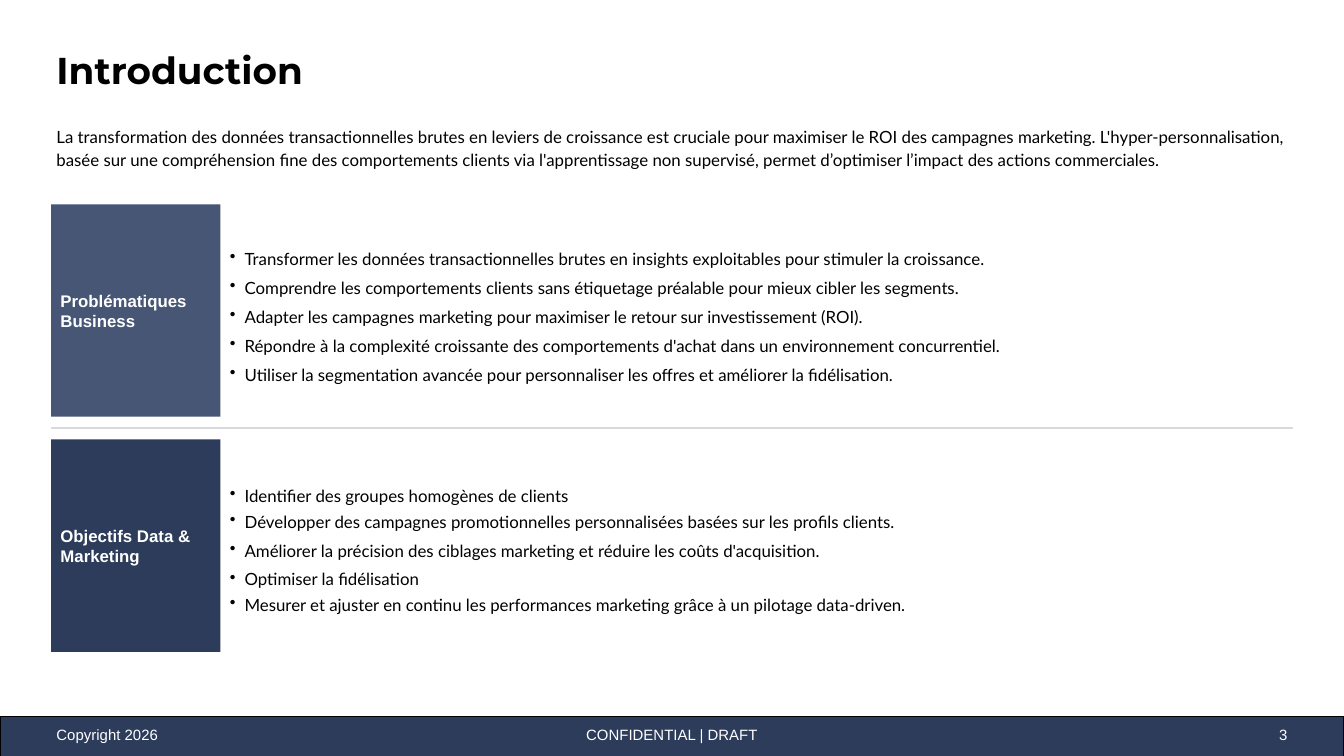
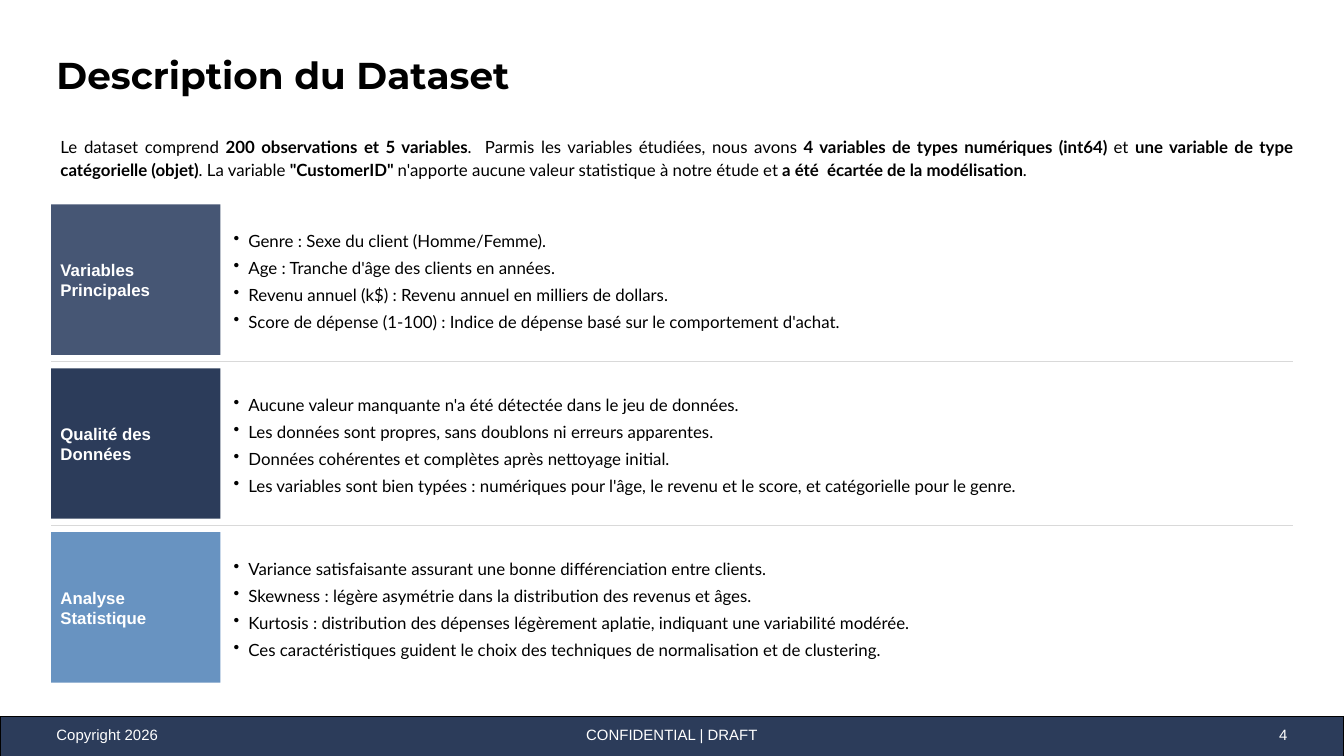
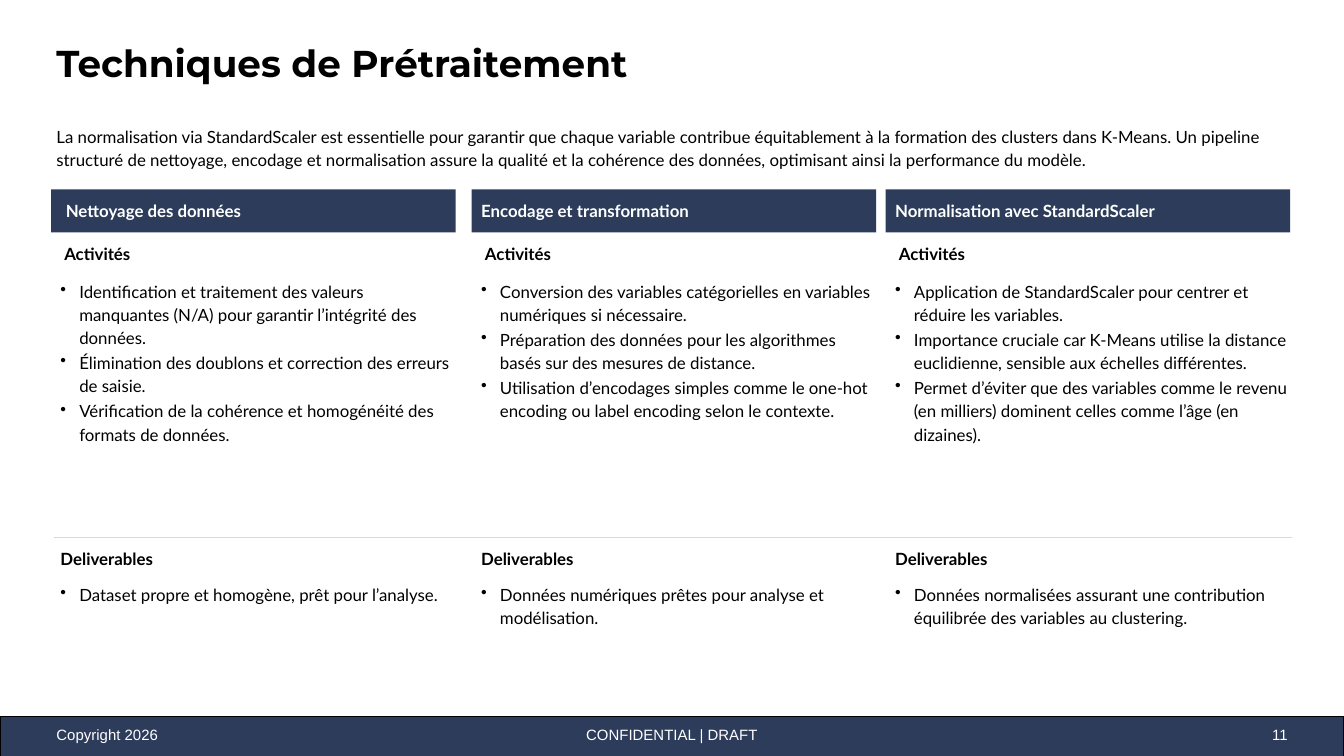
from lxml.etree import SubElement
from pptx import Presentation
from pptx.dml.color import RGBColor
from pptx.enum.shapes import MSO_CONNECTOR, MSO_SHAPE
from pptx.enum.text import MSO_ANCHOR, PP_ALIGN
from pptx.oxml.ns import qn
from pptx.util import Inches, Pt

NAVY, SLATE, SKY = "2C3C5A", "465674", "6893C1"
BLACK, WHITE, RULE = "000000", "FFFFFF", "D9D9D9"
LEFT, WIDTH = 0.38, 9.25
LABEL_WIDTH, FIRST_ROW = 1.26, 1.52
COLUMN_WIDTH = 3.01


def add_box(slide, at, texts, insets, fill=None, font="Lato", size=9, color=BLACK,
            bold=False, align=PP_ALIGN.LEFT, anchor=MSO_ANCHOR.MIDDLE,
            line_spacing=1.0, gap=0, indent=None):
    """Add a text box, or a rectangle if filled; ** in a text switches bold.

    gap is the space in points between paragraphs and after the last one;
    indent is (left margin, first line) and turns bullets on.
    """
    position = [Inches(value) for value in at]
    if fill:
        shape = slide.shapes.add_shape(MSO_SHAPE.RECTANGLE, *position)
        shape.shadow.inherit = False
        shape.fill.solid()
        shape.fill.fore_color.rgb = RGBColor.from_string(fill)
        shape.line.fill.background()
    else:
        shape = slide.shapes.add_textbox(*position)
    frame = shape.text_frame
    frame.word_wrap = True
    frame.vertical_anchor = anchor
    (frame.margin_left, frame.margin_top,
     frame.margin_right, frame.margin_bottom) = [Inches(value) for value in insets]

    for index, text in enumerate(texts):
        paragraph = frame.add_paragraph() if index else frame.paragraphs[0]
        paragraph.alignment = align
        paragraph.line_spacing = line_spacing
        if index:
            paragraph.space_before = Pt(gap)
        if index == len(texts) - 1:
            paragraph.space_after = Pt(gap)
        if indent:
            properties = paragraph._p.get_or_add_pPr()
            properties.set("marL", str(Inches(indent[0])))
            properties.set("indent", str(Inches(indent[1])))
            bullet_color = SubElement(properties, qn("a:buClr"))
            SubElement(bullet_color, qn("a:srgbClr"), val=color)
            SubElement(properties, qn("a:buChar"), char="•")
        for part_index, part in enumerate(text.split("**")):
            run = paragraph.add_run()
            run.text = part
            run.font.name = font
            run.font.size = Pt(size)
            run.font.bold = bold or part_index % 2 == 1
            run.font.color.rgb = RGBColor.from_string(color)
    return shape


def add_rule(slide, left, right, top):
    """Add a thin grey horizontal line."""
    rule = slide.shapes.add_connector(
        MSO_CONNECTOR.STRAIGHT, Inches(left), Inches(top), Inches(right), Inches(top))
    rule.line.color.rgb = RGBColor.from_string(RULE)
    rule.line.width = Pt(0.75)
    SubElement(rule._element.spPr, qn("a:effectLst"))


presentation = Presentation()
presentation.slide_width = Inches(10)
presentation.slide_height = Inches(10) * 9 // 16

# Title, title top, page number, introduction, introduction place and style
pages = [
    ("Introduction", 0.29, "3",
     "La transformation des données transactionnelles brutes en leviers de croissance est "
     "cruciale pour maximiser le ROI des campagnes marketing. L'hyper-personnalisation, basée "
     "sur une compréhension fine des comportements clients via l'apprentissage non supervisé, "
     "permet d’optimiser l’impact des actions commerciales.",
     (LEFT, 0.85, WIDTH, 0.51), PP_ALIGN.LEFT, MSO_ANCHOR.TOP),
    ("Description du Dataset", 0.33, "4",
     "Le dataset comprend **200 observations et 5 variables**.  Parmis les variables étudiées, "
     "nous avons **4 variables de types numériques (int64) **et **une variable de type "
     "catégorielle (objet)**. La variable **\"CustomerID\" **n'apporte aucune valeur "
     "statistique à notre étude et **a été  écartée de la modélisation**.",
     (0.41, 0.9, WIDTH, 0.5), PP_ALIGN.JUSTIFY, MSO_ANCHOR.MIDDLE),
    ("Techniques de Prétraitement", 0.24, "11",
     "La normalisation via StandardScaler est essentielle pour garantir que chaque variable "
     "contribue équitablement à la formation des clusters dans K-Means. Un pipeline structuré "
     "de nettoyage, encodage et normalisation assure la qualité et la cohérence des données, "
     "optimisant ainsi la performance du modèle.",
     (LEFT, 0.85, WIDTH, 0.51), PP_ALIGN.LEFT, MSO_ANCHOR.TOP),
]

slides = []
for title, title_top, number, introduction, place, align, anchor in pages:
    slide = presentation.slides.add_slide(presentation.slide_layouts[6])
    slides.append(slide)
    band = add_box(slide, (0, 5.33, 10, 0.3), [], (0, 0, 0, 0), fill=NAVY)
    band.line.color.rgb = RGBColor.from_string(BLACK)
    band.line.width = Pt(0.75)
    footers = [
        (3.31, 3.38, "CONFIDENTIAL | DRAFT", PP_ALIGN.CENTER),
        (LEFT, 3.38, "Copyright 2026", PP_ALIGN.LEFT),
        (7.37, 2.25, number, PP_ALIGN.RIGHT),
    ]
    for left, width, text, footer_align in footers:
        add_box(slide, (left, 5.36, width, 0.21), [text], (0.04, 0.04, 0.04, 0.04),
                font="Arial", size=8, color=WHITE, align=footer_align)
    add_box(slide, (LEFT, title_top, WIDTH, 0.41), [title], (0.04, 0.04, 0.04, 0),
            font="Montserrat", size=20, bold=True)
    add_box(slide, place, [introduction], (0.04, 0.07, 0.04, 0.04),
            align=align, anchor=anchor, line_spacing=1.15)

introduction_slide, dataset_slide, techniques_slide = slides

# Labelled rows of the first two slides
introduction_rows = [
    ("Problématiques Business", SLATE, [
        "Transformer les données transactionnelles brutes en insights exploitables pour stimuler la croissance.",
        "Comprendre les comportements clients sans étiquetage préalable pour mieux cibler les segments.",
        "Adapter les campagnes marketing pour maximiser le retour sur investissement (ROI).",
        "Répondre à la complexité croissante des comportements d'achat dans un environnement concurrentiel.",
        "Utiliser la segmentation avancée pour personnaliser les offres et améliorer la fidélisation.",
    ]),
    ("Objectifs Data & Marketing", NAVY, [
        "Identifier des groupes homogènes de clients",
        "Développer des campagnes promotionnelles personnalisées basées sur les profils clients.",
        "Améliorer la précision des ciblages marketing et réduire les coûts d'acquisition.",
        "Optimiser la fidélisation",
        "Mesurer et ajuster en continu les performances marketing grâce à un pilotage data-driven.",
    ]),
]
dataset_rows = [
    ("Variables Principales", SLATE, [
        "Genre : Sexe du client (Homme/Femme).",
        "Age : Tranche d'âge des clients en années.",
        "Revenu annuel (k$) : Revenu annuel en milliers de dollars.",
        "Score de dépense (1-100) : Indice de dépense basé sur le comportement d'achat.",
    ]),
    ("Qualité des Données", NAVY, [
        "Aucune valeur manquante n'a été détectée dans le jeu de données.",
        "Les données sont propres, sans doublons ni erreurs apparentes.",
        "Données cohérentes et complètes après nettoyage initial.",
        "Les variables sont bien typées : numériques pour l'âge, le revenu et le score, "
        "et catégorielle pour le genre.",
    ]),
    ("Analyse Statistique", SKY, [
        "Variance satisfaisante assurant une bonne différenciation entre clients.",
        "Skewness : légère asymétrie dans la distribution des revenus et âges.",
        "Kurtosis : distribution des dépenses légèrement aplatie, indiquant une variabilité modérée.",
        "Ces caractéristiques guident le choix des techniques de normalisation et de clustering.",
    ]),
]
row_layouts = [
    (introduction_slide, introduction_rows, 1.58, 0.17, 3, (0.07, 0.07, 0.07, 0)),
    (dataset_slide, dataset_rows, 1.12, 0.1, 2, (0.1, 0.04, 0.1, 0.04)),
]
for slide, rows, height, row_gap, bullet_gap, insets in row_layouts:
    for index, (label, fill, bullets) in enumerate(rows):
        top = FIRST_ROW + index * (height + row_gap)
        add_box(slide, (LEFT, top, LABEL_WIDTH, height), [label], (0.07, 0.07, 0.07, 0.07),
                fill=fill, font="Arial", color=WHITE, bold=True)
        bullet_box = add_box(slide, (LEFT + LABEL_WIDTH, top, 7.99, height), bullets, insets,
                             line_spacing=1.15, gap=bullet_gap, indent=(0.11, -0.13))
        if index:
            add_rule(slide, LEFT, 9.62, top - row_gap / 2)
        if label == "Objectifs Data & Marketing":
            for tight in (0, 1, 4):
                bullet_box.text_frame.paragraphs[tight].line_spacing = 1.0

# Three columns of the preprocessing slide
columns = [
    (LEFT, 0.11, "Nettoyage des données", [
        "Identification et traitement des valeurs manquantes (N/A) pour garantir l’intégrité des données.",
        "Élimination des doublons et correction des erreurs de saisie.",
        "Vérification de la cohérence et homogénéité des formats de données.",
    ], "Dataset propre et homogène, prêt pour l’analyse."),
    (3.51, 0.07, "Encodage et transformation", [
        "Conversion des variables catégorielles en variables numériques si nécessaire.",
        "Préparation des données pour les algorithmes basés sur des mesures de distance.",
        "Utilisation d’encodages simples comme le one-hot encoding ou label encoding selon le contexte.",
    ], "Données numériques prêtes pour analyse et modélisation."),
    (6.59, 0.07, "Normalisation avec StandardScaler", [
        "Application de StandardScaler pour centrer et réduire les variables.",
        "Importance cruciale car K-Means utilise la distance euclidienne, sensible aux échelles différentes.",
        "Permet d’éviter que des variables comme le revenu (en milliers) dominent celles "
        "comme l’âge (en dizaines).",
    ], "Données normalisées assurant une contribution équilibrée des variables au clustering."),
]
for left, header_inset, header, activities, deliverable in columns:
    add_box(techniques_slide, (left, 1.41, COLUMN_WIDTH, 0.32), [header],
            (header_inset, 0.04, 0.07, 0.04), fill=NAVY, color=WHITE, bold=True)
    add_box(techniques_slide, (left, 1.73, COLUMN_WIDTH, 0.31), ["Activités"],
            (0.1, 0.1, 0.1, 0.1), bold=True, gap=1)
    add_box(techniques_slide, (left, 4.04, COLUMN_WIDTH, 0.23), ["Deliverables"],
            (0.07, 0.04, 0.07, 0.04), bold=True, anchor=MSO_ANCHOR.TOP, gap=1)
    for top, height, bullets in [(2.07, 1.89, activities), (4.33, 0.97, [deliverable])]:
        add_box(techniques_slide, (left, top, COLUMN_WIDTH, height), bullets,
                (0.02, 0, 0.02, 0), anchor=MSO_ANCHOR.TOP, line_spacing=1.15, gap=1,
                indent=(0.19, -0.14))
add_rule(techniques_slide, 0.4, 9.61, 4)

presentation.save("out.pptx")
